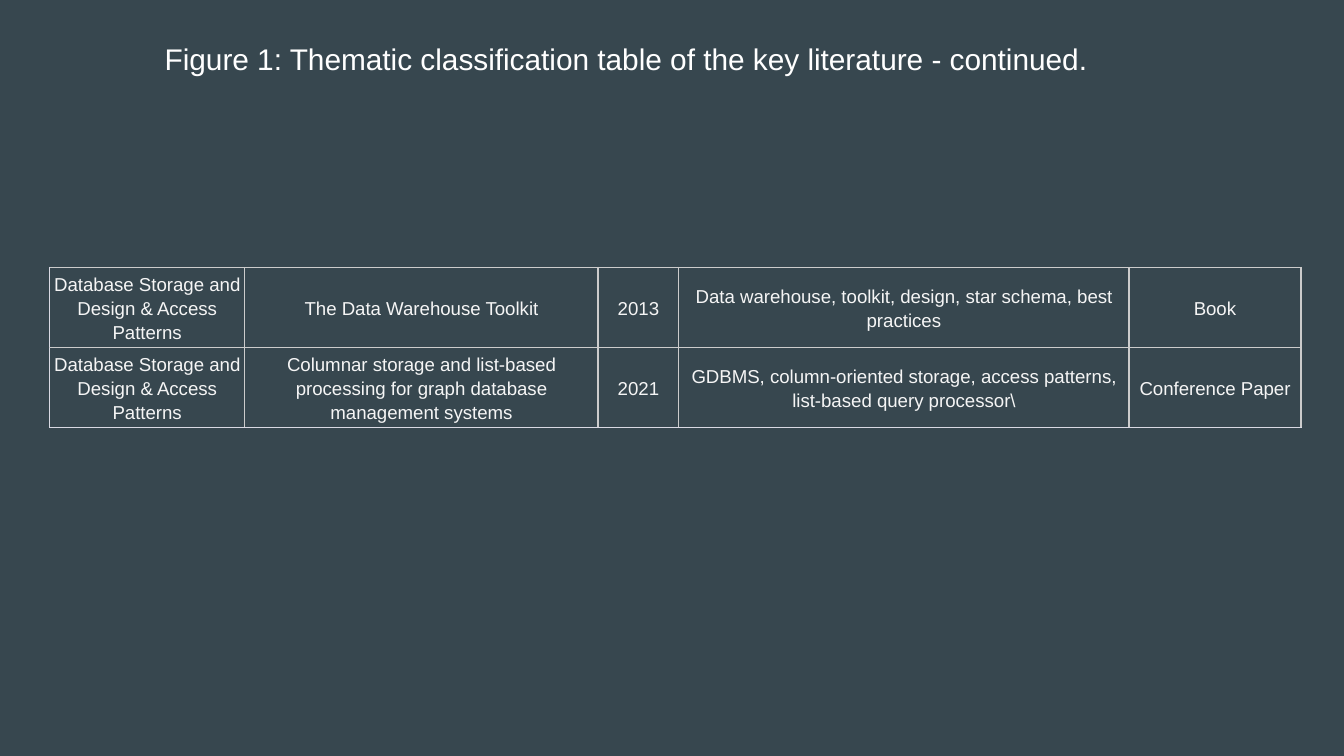
import lxml.etree
import pptx
import pptx.dml.color
import pptx.enum.text
import pptx.oxml.ns
import pptx.util

SLATE = pptx.dml.color.RGBColor(0x37, 0x47, 0x4F)
WHITE = pptx.dml.color.RGBColor(0xFF, 0xFF, 0xFF)
PALE = pptx.dml.color.RGBColor(0xF5, 0xF5, 0xF5)
BORDER = pptx.dml.color.RGBColor(0xCC, 0xCC, 0xCC)
OUTER_BORDER = pptx.dml.color.RGBColor(0xD9, 0xD9, 0xE3)
FONT = "Arial"

SLIDE_WIDTH = pptx.util.Inches(10)
SLIDE_HEIGHT = SLIDE_WIDTH * 9 // 16

TITLE = "Figure 1: Thematic classification table of the key literature - continued."
THEME = "Database Storage and Design & Access Patterns"
LITERATURE = [
    (THEME, "The Data Warehouse Toolkit", "2013",
     "Data warehouse, toolkit, design, star schema, best practices", "Book"),
    (THEME,
     "Columnar storage and list-based processing for graph database management systems",
     "2021",
     "GDBMS, column-oriented storage, access patterns, list-based query processor\\",
     "Conference Paper"),
]
COLUMN_WIDTHS = [1.45, 2.63, 0.6, 3.35, 1.28]
ROW_HEIGHT = 0.59


def write(frame, text, size, color, spacing):
    frame.word_wrap = True
    frame.text = text
    paragraph = frame.paragraphs[0]
    paragraph.alignment = pptx.enum.text.PP_ALIGN.CENTER
    paragraph.line_spacing = spacing
    font = paragraph.runs[0].font
    font.name, font.size = FONT, pptx.util.Pt(size)
    font.color.rgb = color


def set_margins(holder, inset):
    """Set equal margins on a text frame or a table cell."""
    for side in ("left", "top", "right", "bottom"):
        setattr(holder, f"margin_{side}", pptx.util.Inches(inset))


def add_title(slide, box):
    frame = slide.shapes.add_textbox(*map(pptx.util.Inches, box)).text_frame
    write(frame, TITLE, 16, WHITE, 1.5)
    set_margins(frame, 0.1)
    frame.paragraphs[0].space_after = pptx.util.Pt(12)


def set_borders(cell, colors):
    """Draw the cell's borders; colors are keyed by side: L, R, T, B."""
    properties = cell._tc.get_or_add_tcPr()
    for side, color in colors.items():
        line = lxml.etree.SubElement(
            properties, pptx.oxml.ns.qn(f"a:ln{side}"), w=str(pptx.util.Pt(0.75)))
        fill = lxml.etree.SubElement(line, pptx.oxml.ns.qn("a:solidFill"))
        lxml.etree.SubElement(fill, pptx.oxml.ns.qn("a:srgbClr"), val=str(color))


def add_literature_table(slide, left, top):
    last_row = len(LITERATURE) - 1
    table = slide.shapes.add_table(
        len(LITERATURE), len(COLUMN_WIDTHS),
        *map(pptx.util.Inches, (left, top, sum(COLUMN_WIDTHS),
                                ROW_HEIGHT * len(LITERATURE)))).table
    table.first_row = table.horz_banding = False
    for column, width in zip(table.columns, COLUMN_WIDTHS):
        column.width = pptx.util.Inches(width)
    for r, entry in enumerate(LITERATURE):
        for c, text in enumerate(entry):
            cell = table.cell(r, c)
            write(cell.text_frame, text, 10, PALE, 1.15)
            set_margins(cell, 0.03)
            cell.vertical_anchor = pptx.enum.text.MSO_ANCHOR.MIDDLE
            set_borders(cell, {
                "L": OUTER_BORDER if c == 0 else BORDER,
                "R": BORDER,
                "T": BORDER,
                "B": OUTER_BORDER if r == last_row else BORDER,
            })
            cell.fill.background()


def main():
    deck = pptx.Presentation()
    deck.slide_width = SLIDE_WIDTH
    deck.slide_height = SLIDE_HEIGHT
    slide = deck.slides.add_slide(deck.slide_layouts[6])
    slide.background.fill.solid()
    slide.background.fill.fore_color.rgb = SLATE
    add_literature_table(slide, 0.37, 1.99)
    add_title(slide, (0, 0.07, 9.32, 0.32))
    deck.save("out.pptx")


if __name__ == "__main__":
    main()
